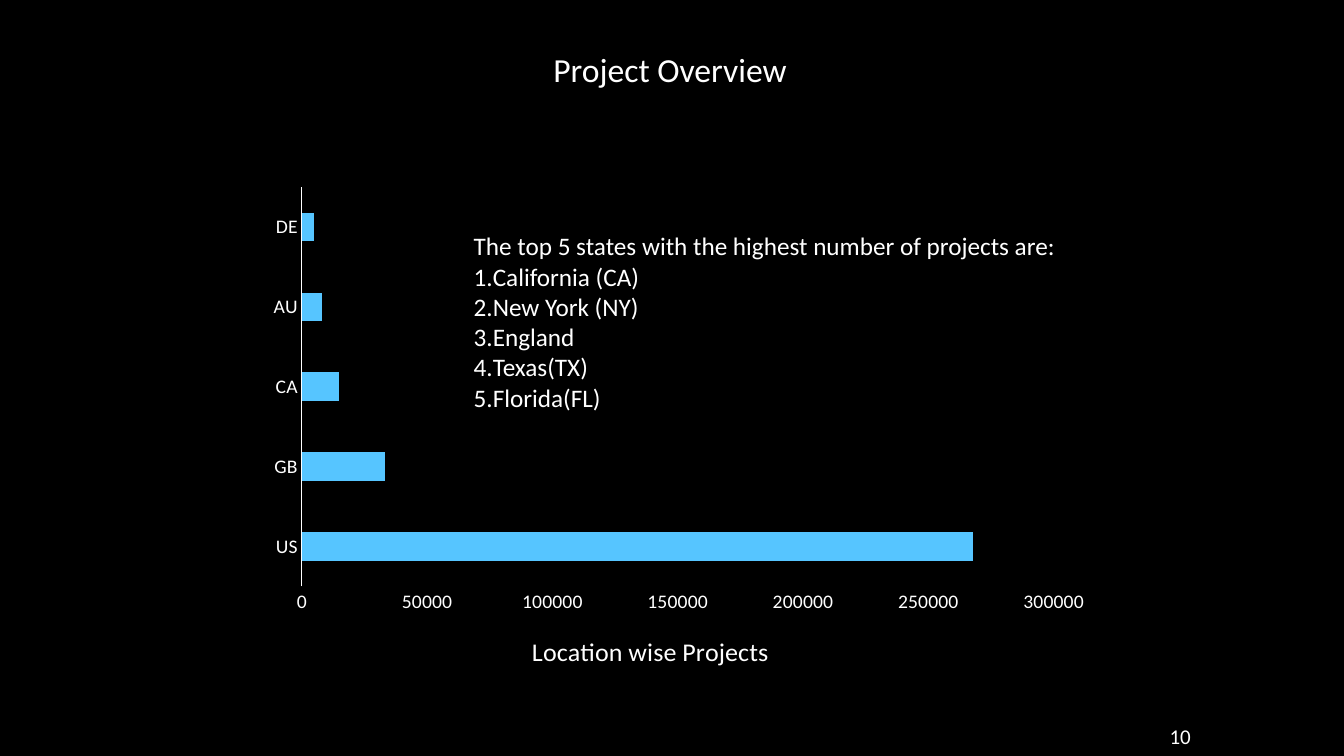
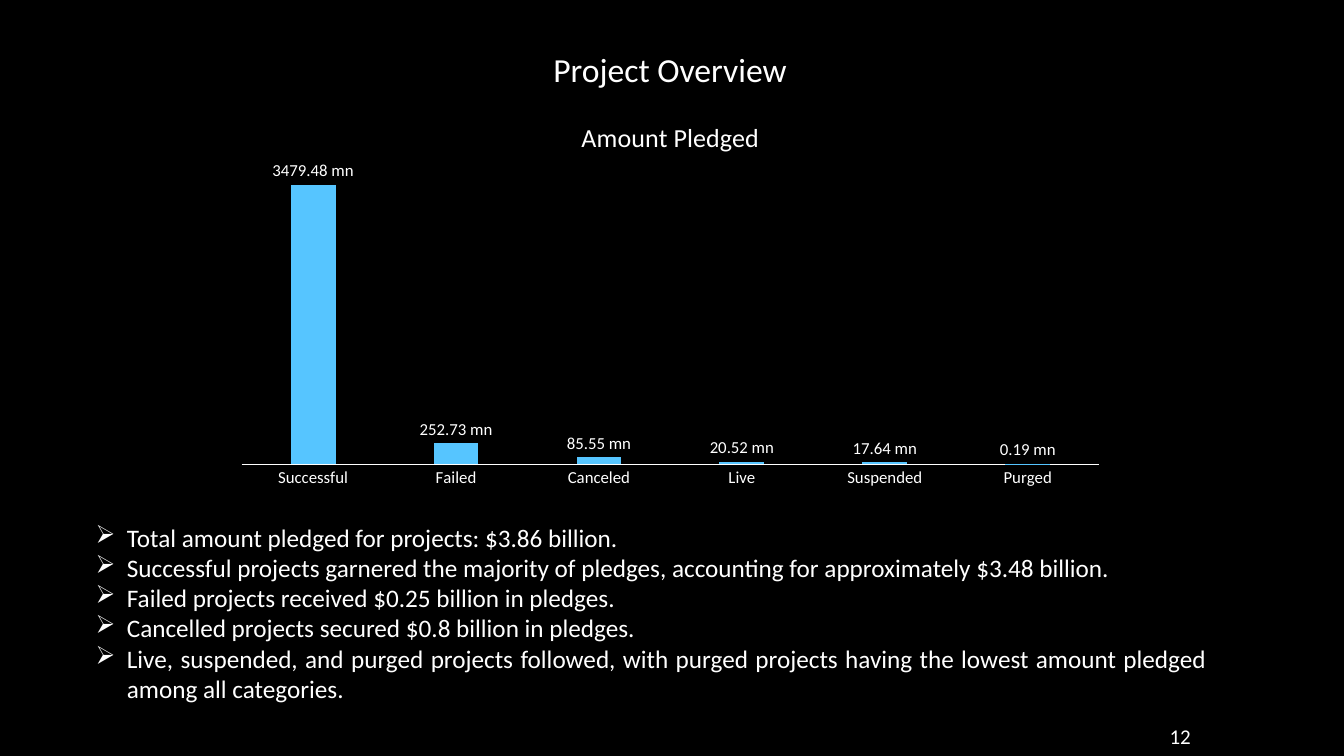
from dataclasses import dataclass

from lxml import etree
from pptx import Presentation
from pptx.chart.data import CategoryChartData
from pptx.dml.color import RGBColor
from pptx.enum import chart as ch, text as tx
from pptx.oxml import ns
from pptx.util import Inches, Pt

BLACK, WHITE, BLUE = "000000", "FFFFFF", "56C5FF"
FACE = "Calibri"
HEAD = "Project Overview"


@dataclass
class Box:
    x: float
    y: float
    w: float
    h: float

    def emu(self):
        return [Inches(v) for v in (self.x, self.y, self.w, self.h)]


@dataclass
class Graph:
    kind: ch.XL_CHART_TYPE
    box: Box
    title: str
    name: str
    cats: list[str]
    vals: list[float]
    gap: int
    lap: int
    size: float


HEAD_BOX = Box(5.39, 0.44, 2.56, 0.47)
NUM_BOX = Box(11.48, 7.11, 0.43, 0.39)

PLACES = Graph(
    ch.XL_CHART_TYPE.BAR_CLUSTERED, Box(2.54, 1.6, 8.25, 5.11),
    "Location wise Projects", "Series 1",
    ["US", "GB", "CA", "AU", "DE"],
    [268000, 33000, 15000, 8000, 5000], 182, 0, 14)
PLEDGES = Graph(
    ch.XL_CHART_TYPE.COLUMN_CLUSTERED, Box(2.22, 1, 8.86, 3.92),
    "Amount Pledged", "Amount Pledged",
    ["Successful", "Failed", "Canceled", "Live", "Suspended", "Purged"],
    [4278460000, 317200000, 101110000, 38050000, 23930000, 190000],
    219, -27, 12)
LABELS = ["3479.48 mn", "252.73 mn", "85.55 mn", "20.52 mn", "17.64 mn"]

STATES = ["California (CA)", "New York (NY)", "England", "Texas(TX)",
          "Florida(FL)"]
POINTS = [
    "Total amount pledged for projects: $3.86 billion.",
    "Successful projects garnered the majority of pledges, accounting for "
    "approximately $3.48 billion.",
    "Failed projects received $0.25 billion in pledges.",
    "Cancelled projects secured $0.8 billion in pledges.",
    "Live, suspended, and purged projects followed, with purged projects "
    "having the lowest amount pledged among all categories.",
]


def rgb(code: str) -> RGBColor:
    return RGBColor.from_string(code)


def style(font, size: float):
    font.name, font.size, font.bold = FACE, Pt(size), False
    font.color.rgb = rgb(WHITE)


# Text
def bullet(para, tag: str, indent: float = 0, **attrs: str):
    props = para._p.get_or_add_pPr()
    if indent:
        props.set("marL", str(Inches(indent)))
        props.set("indent", str(-Inches(indent)))
    etree.SubElement(props, ns.qn(tag), attrs)


def write(slide, box: Box, lines: list[str], size: float, align=None):
    frame = slide.shapes.add_textbox(*box.emu()).text_frame
    frame.word_wrap = True
    for i, line in enumerate(lines):
        para = frame.paragraphs[0] if i == 0 else frame.add_paragraph()
        para.text = line
        para.alignment = align
        style(para.font, size)
    return frame


def page(deck, num: int):
    slide = deck.slides.add_slide(deck.slide_layouts[6])
    fill = slide.background.fill
    fill.solid()
    fill.fore_color.rgb = rgb(BLACK)
    write(slide, HEAD_BOX, [HEAD], 24)
    foot = write(slide, NUM_BOX, [str(num)], 15, tx.PP_ALIGN.RIGHT)
    foot.vertical_anchor = tx.MSO_ANCHOR.MIDDLE
    return slide


# Charts
def place(parent, index: int, **parts: str):
    """Give a chart part a manual layout, in fractions of the chart."""
    for old in parent.findall(ns.qn("c:layout")):
        parent.remove(old)
    layout = etree.Element(ns.qn("c:layout"))
    manual = etree.SubElement(layout, ns.qn("c:manualLayout"))
    for tag, val in parts.items():
        etree.SubElement(manual, ns.qn("c:" + tag), val=val)
    parent.insert(index, layout)


def draw(slide, graph: Graph):
    data = CategoryChartData()
    data.categories = graph.cats
    data.add_series(graph.name, graph.vals)
    chart = slide.shapes.add_chart(graph.kind, *graph.box.emu(), data).chart
    style(chart.font, 10)
    chart.has_legend = False
    chart.has_title = True
    chart.chart_title.text_frame.text = graph.title
    style(chart.chart_title.text_frame.paragraphs[0].font, 18.6)

    for axis in (chart.category_axis, chart.value_axis):
        axis.has_major_gridlines = False
        axis.major_tick_mark = axis.minor_tick_mark = ch.XL_TICK_MARK.NONE
        style(axis.tick_labels.font, graph.size)
    line = chart.category_axis.format.line
    line.color.rgb, line.width = rgb(WHITE), Pt(0.75)
    chart.value_axis.format.line.fill.background()

    plot = chart.plots[0]
    plot.vary_by_categories = False
    plot.gap_width, plot.overlap = graph.gap, graph.lap
    fill = plot.series[0].format.fill
    fill.solid()
    fill.fore_color.rgb = rgb(BLUE)
    return chart


def label(series, names: list[str], size: float):
    spot = ch.XL_LABEL_POSITION.OUTSIDE_END
    marks = series.data_labels
    marks.show_value = True
    marks.number_format, marks.number_format_is_linked = '0.00,," mn"', False
    marks.position = spot
    style(marks.font, size)
    for i, name in enumerate(names):
        mark = series.points[i].data_label
        mark.text_frame.text = name
        style(mark.text_frame.paragraphs[0].font, size)
        mark.position = spot


# Slides
def places(deck):
    slide = page(deck, 10)
    chart = draw(slide, PLACES)
    title = chart.chart_title._element
    place(title, 1, xMode="edge", yMode="edge", x="0.326", y="0.93")
    title.find(ns.qn("c:overlay")).set("val", "1")
    area = chart._chartSpace.chart.plotArea
    place(area, 0, layoutTarget="inner", xMode="edge", yMode="edge",
          x="0.055", y="0.051", w="0.904", h="0.794")
    intro = "The top 5 states with the highest number of projects are:"
    frame = write(slide, Box(4.6, 2.24, 6.17, 1.92), [intro, *STATES], 18)
    for para in frame.paragraphs[1:]:
        para._p.get_or_add_pPr().clear()
        bullet(para, "a:buAutoNum", type="arabicPeriod")
        style(para.font, 18)


def pledges(deck):
    slide = page(deck, 12)
    chart = draw(slide, PLEDGES)
    chart.value_axis.visible = False
    label(chart.plots[0].series[0], LABELS, PLEDGES.size)
    frame = write(slide, Box(0.85, 5.13, 11.22, 1.92), POINTS, 18)
    for para in frame.paragraphs:
        para._p.get_or_add_pPr().clear()
        bullet(para, "a:buChar", 0.31, char="➢")
        para.alignment = tx.PP_ALIGN.JUSTIFY
        style(para.font, 18)


def main():
    deck = Presentation()
    deck.slide_width, deck.slide_height = Inches(13.33), Inches(7.5)
    places(deck)
    pledges(deck)
    deck.save("out.pptx")


if __name__ == "__main__":
    main()
